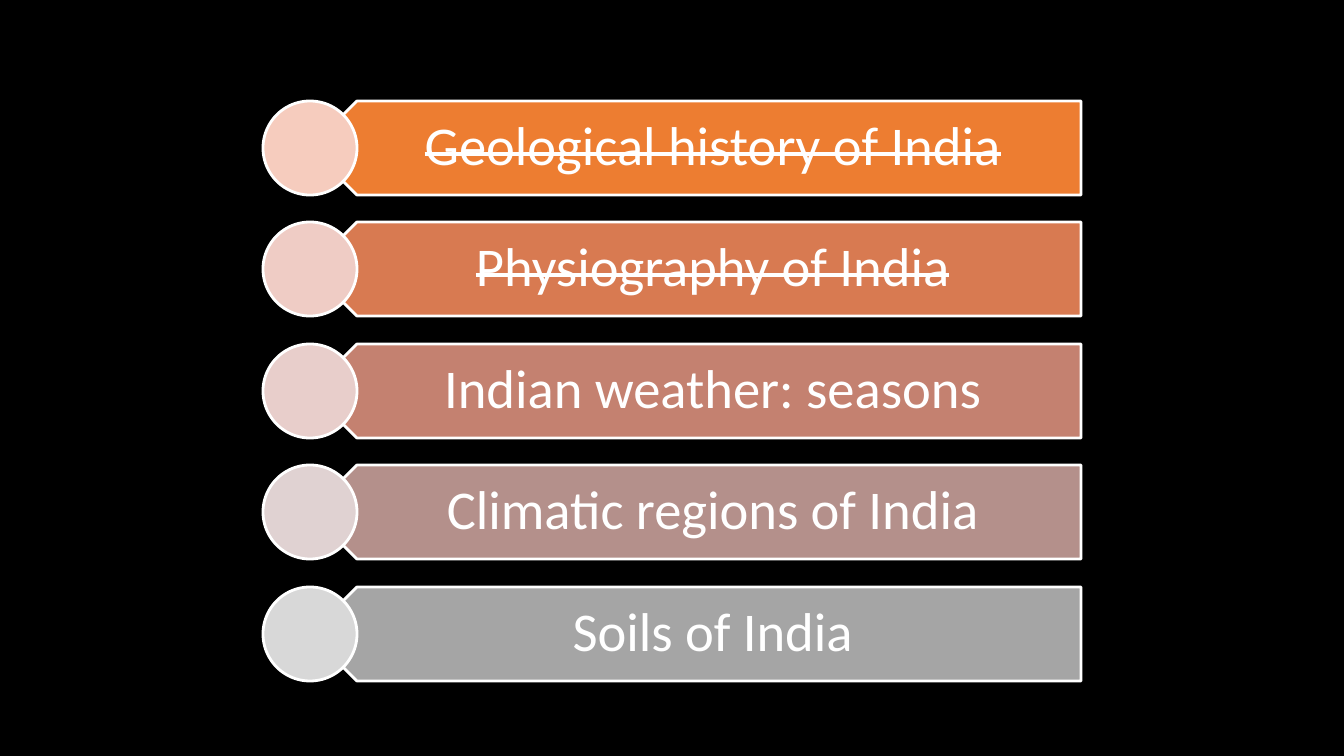
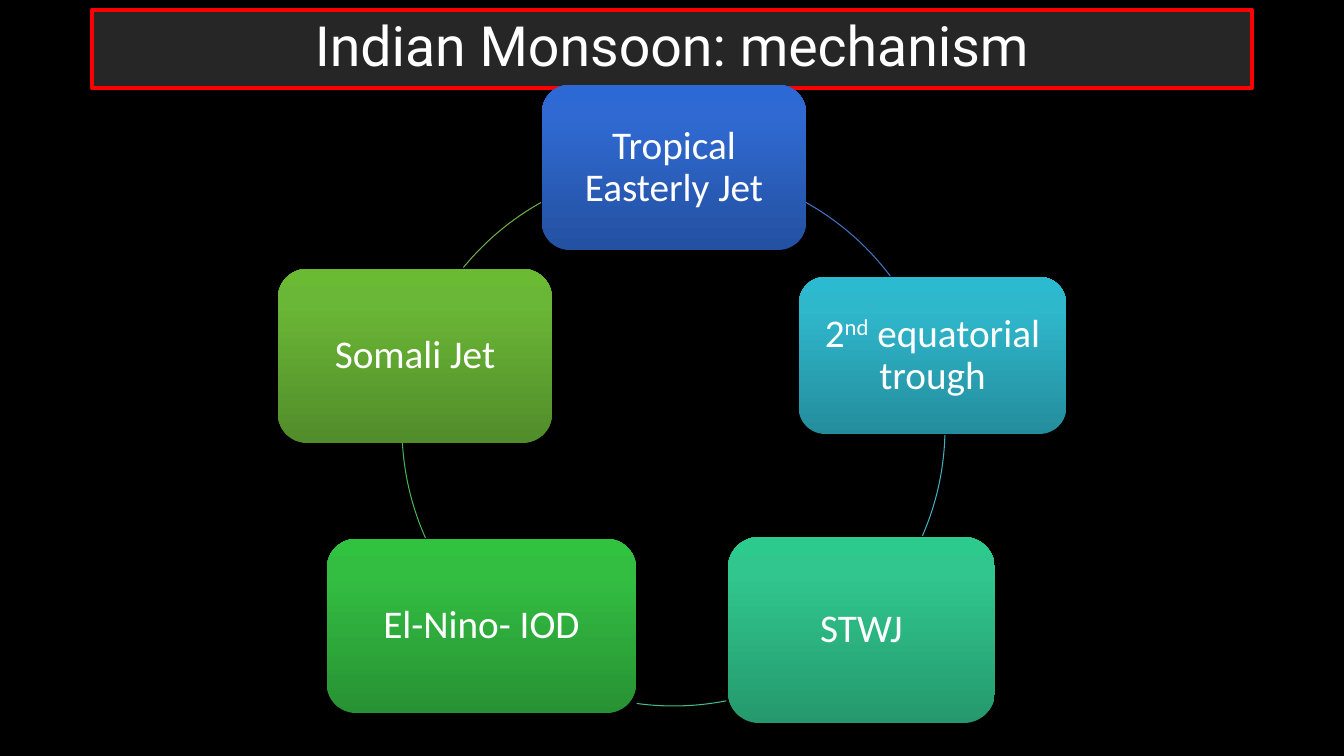
from dataclasses import dataclass
from copy import deepcopy

from pptx import Presentation
from pptx.dml.color import RGBColor
from pptx.enum.shapes import MSO_SHAPE
from pptx.enum.text import MSO_ANCHOR, MSO_AUTO_SIZE, PP_ALIGN
from pptx.oxml.ns import qn
from pptx.util import Emu, Pt

EMU_PER_PX = 914400 / 100.8
TITLE_ONLY, BLANK = 5, 6


def px(length):
    return Emu(round(length * EMU_PER_PX))


@dataclass(frozen=True)
class Theme:
    background: str = "000000"
    text: str = "FFFFFF"
    outline: str = "FFFFFF"
    title_fill: str = "262626"
    title_line: str = "FF0000"
    body_font: str = "Calibri"
    title_font: str = "Roboto"
    title_size: float = 39.6
    bar_size: float = 39
    node_size: float = 28
    outline_width: float = 2
    title_line_width: float = 3
    arc_width: float = 0.75


class Deck:
    def __init__(self, theme):
        self.theme = theme
        self.deck = Presentation()
        self.deck.slide_width, self.deck.slide_height = px(1344), px(756)
        self.page = None

    def add_page(self, layout):
        self.page = self.deck.slides.add_slide(self.deck.slide_layouts[layout])
        fill = self.page.background.fill
        fill.solid()
        fill.fore_color.rgb = RGBColor.from_string(self.theme.background)

    def paint(self, shape, fill=None, line=None, width=1):
        """Set a flat fill and an outline; None leaves that part empty."""
        if fill:
            shape.fill.solid()
            shape.fill.fore_color.rgb = RGBColor.from_string(fill)
        else:
            shape.fill.background()
        if line:
            shape.line.color.rgb = RGBColor.from_string(line)
            shape.line.width = Pt(width)
        else:
            shape.line.fill.background()

    def shape(self, kind, at, **paint):
        shape = self.page.shapes.add_shape(kind, *map(px, at))
        shape.shadow.inherit = False
        self.paint(shape, **paint)
        return shape

    def set_text(self, shape, spans, size, font, margins=(10, 5, 10, 5)):
        """Fill a shape with one centred paragraph of (text, run attributes) spans."""
        frame = shape.text_frame
        left, top, right, bottom = map(px, margins)
        frame_format = {
            "word_wrap": True, "auto_size": MSO_AUTO_SIZE.NONE,
            "vertical_anchor": MSO_ANCHOR.MIDDLE,
            "margin_left": left, "margin_top": top,
            "margin_right": right, "margin_bottom": bottom,
        }
        for name, value in frame_format.items():
            setattr(frame, name, value)
        para = frame.paragraphs[0]
        para.alignment, para.line_spacing = PP_ALIGN.CENTER, 0.9
        for text, attributes in spans:
            span = para.add_run()
            span.text = text
            for name, value in {"name": font, "size": Pt(size)}.items():
                setattr(span.font, name, value)
            span.font.color.rgb = RGBColor.from_string(self.theme.text)
            for name, value in attributes.items():
                span._r.get_or_add_rPr().set(name, value)

    def title(self, text, at):
        theme = self.theme
        box = self.page.shapes.title
        box.left, box.top, box.width, box.height = map(px, at)
        self.paint(box, theme.title_fill, theme.title_line, theme.title_line_width)
        self.set_text(box, [(text, {})], theme.title_size, theme.title_font)

    def bar(self, text, at, bar_fill, circle_fill, done):
        """Draw a bar pointing left with a circle centred on its tip."""
        theme = self.theme
        left, top, width, height = at
        outline = {"line": theme.outline, "width": theme.outline_width}
        bar = self.shape(MSO_SHAPE.PENTAGON, at, fill=bar_fill, **outline)
        bar._element.spPr.find(qn("a:xfrm")).set("flipH", "1")
        strike = {"strike": "sngStrike"} if done else {}
        self.set_text(bar, [(text, strike)], theme.bar_size, theme.body_font,
                      (41, 16, 30, 16))
        self.shape(MSO_SHAPE.OVAL, (left - height // 2, top, height, height),
                   fill=circle_fill, **outline)

    def node(self, spans, at, colors):
        """Draw a rounded box whose gradient runs from the bottom up."""
        theme = self.theme
        box = self.shape(MSO_SHAPE.ROUNDED_RECTANGLE, at)
        box.fill.gradient()
        box.fill.gradient_angle = 90
        stop_list = next(box._element.spPr.iter(qn("a:gsLst")))
        stop_list.append(deepcopy(stop_list[-1]))
        for stop, position, color in zip(box.fill.gradient_stops, (0, 0.8, 1), colors):
            stop.position = position
            stop.color.rgb = RGBColor.from_string(color)
        self.set_text(box, spans, theme.node_size, theme.body_font, (12,) * 4)

    def arc(self, at, start, end, color):
        """Draw part of a circle, clockwise, in degrees from three o'clock."""
        arc = self.shape(MSO_SHAPE.ARC, at, line=color, width=self.theme.arc_width)
        for index, degrees in enumerate((start, end)):
            arc.adjustments[index] = degrees * 0.6


def build_topics(deck):
    topics = [
        ("Geological history of India", "ED7D31", "F6CCBE", True),
        ("Physiography of India", "D87A51", "EFCCC5", True),
        ("Indian weather: seasons", "C48170", "E8CECB", False),
        ("Climatic regions of India", "B4908B", "E0D2D2", False),
        ("Soils of India", "A5A5A5", "D8D8D8", False),
    ]
    deck.add_page(BLANK)
    for row, (text, bar_fill, circle_fill, done) in enumerate(topics):
        top = 101 + row * 243 // 2
        deck.bar(text, (310, top, 771, 94), bar_fill, circle_fill, done)


def build_monsoon(deck):
    trough = [("2", {}), ("nd", {"baseline": "30000"}), (" equatorial trough", {})]
    # spans, box, gradient, then the arc to the next box: top, start, end, colour
    nodes = [
        ([("Tropical Easterly Jet", {})], (542, 85, 264, 165),
         ("2451A1", "2F69D1", "2C69D5"), (168, 299.2, 323, "4472C4")),
        (trough, (799, 277, 267, 157),
         ("248D9D", "2FB7CC", "2CBAD0"), (156, 1.6, 23.5, "43AFC0")),
        ([("STWJ", {})], (728, 537, 267, 186),
         ("25996D", "30C68D", "2DCA8E"), (163, 78.8, 97.8, "43BB8D")),
        ([("El-Nino- IOD", {})], (327, 539, 309, 174),
         ("279233", "33BE42", "31C240"), (156, 156, 176.7, "45B451")),
        ([("Somali Jet", {})], (278, 269, 274, 174),
         ("518D2A", "6AB636", "6ABA34"), (168, 219.3, 240.8, "70AD47")),
    ]
    deck.add_page(TITLE_ONLY)
    deck.title("Indian Monsoon: mechanism", (92, 10, 1160, 78))
    for spans, at, colors, (top, start, end, color) in nodes:
        deck.node(spans, at, colors)
        deck.arc((402, top, 543, 543), start, end, color)


def main():
    deck = Deck(Theme())
    build_topics(deck)
    build_monsoon(deck)
    deck.deck.save("out.pptx")


if __name__ == "__main__":
    main()
